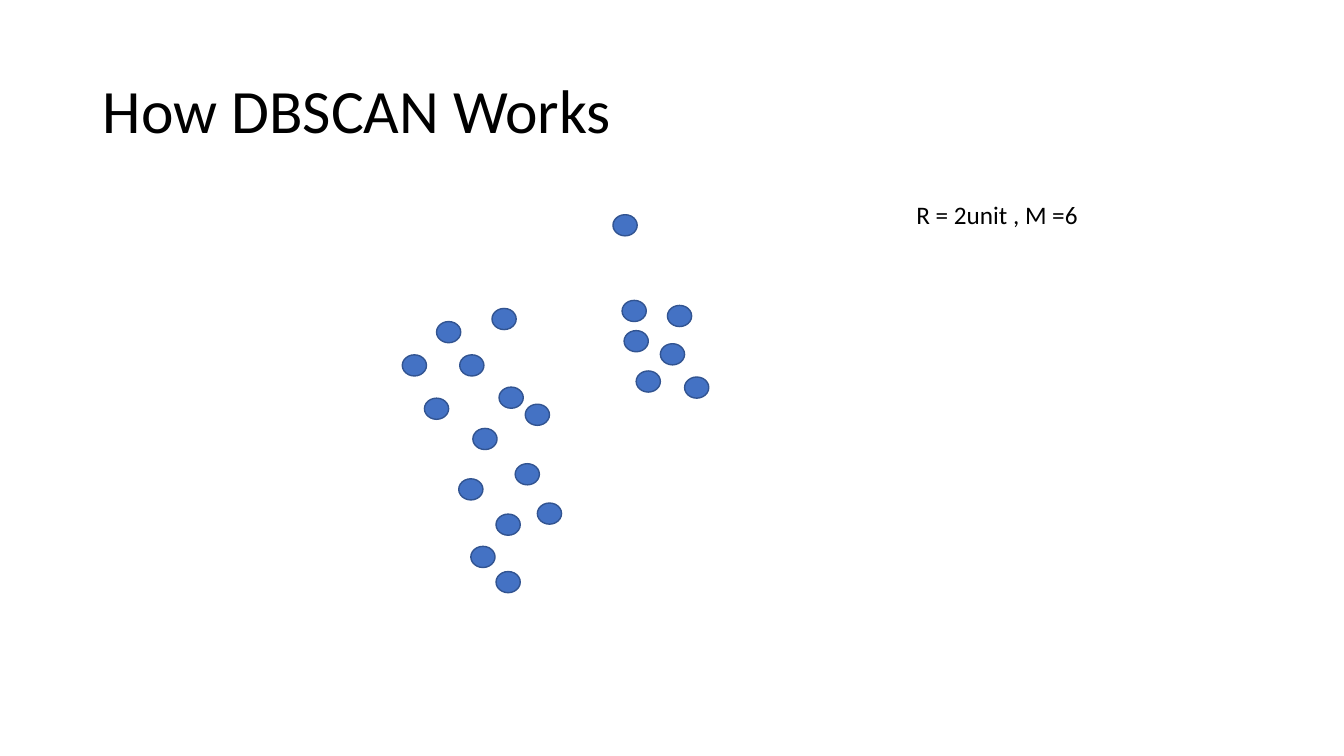
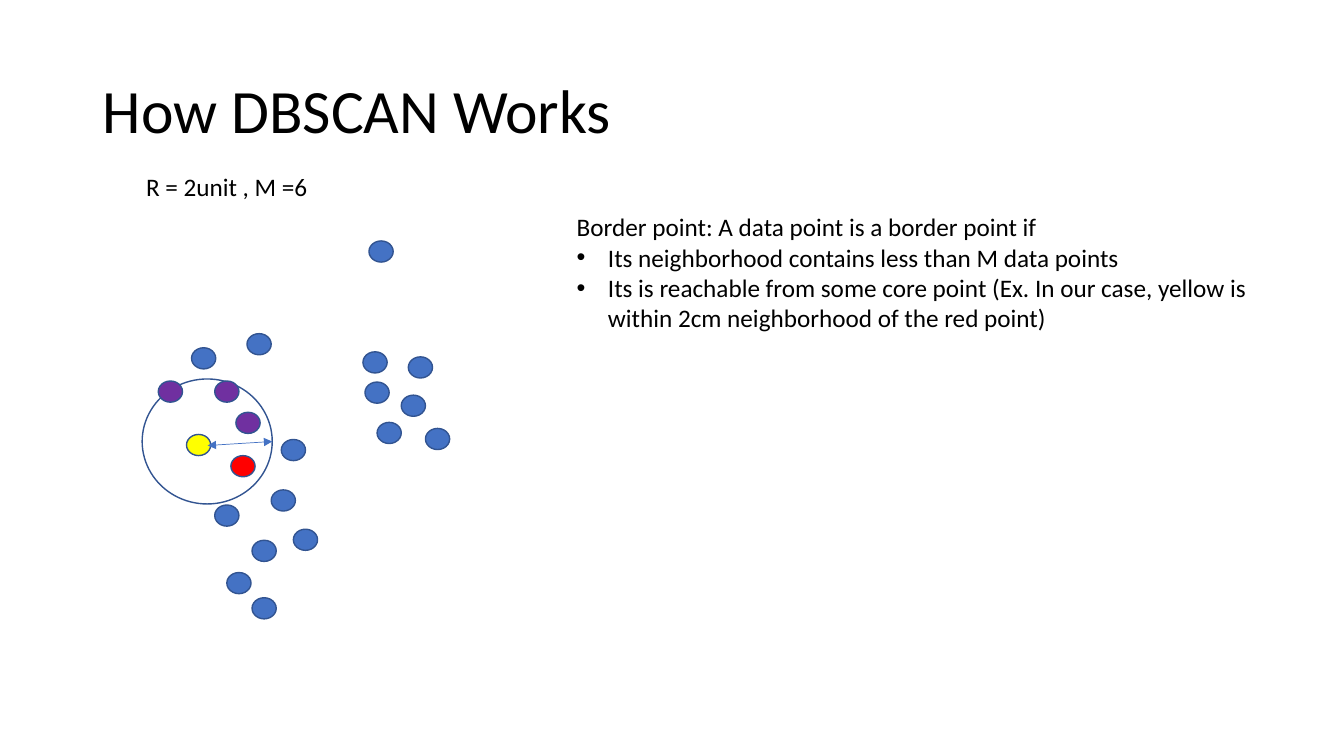
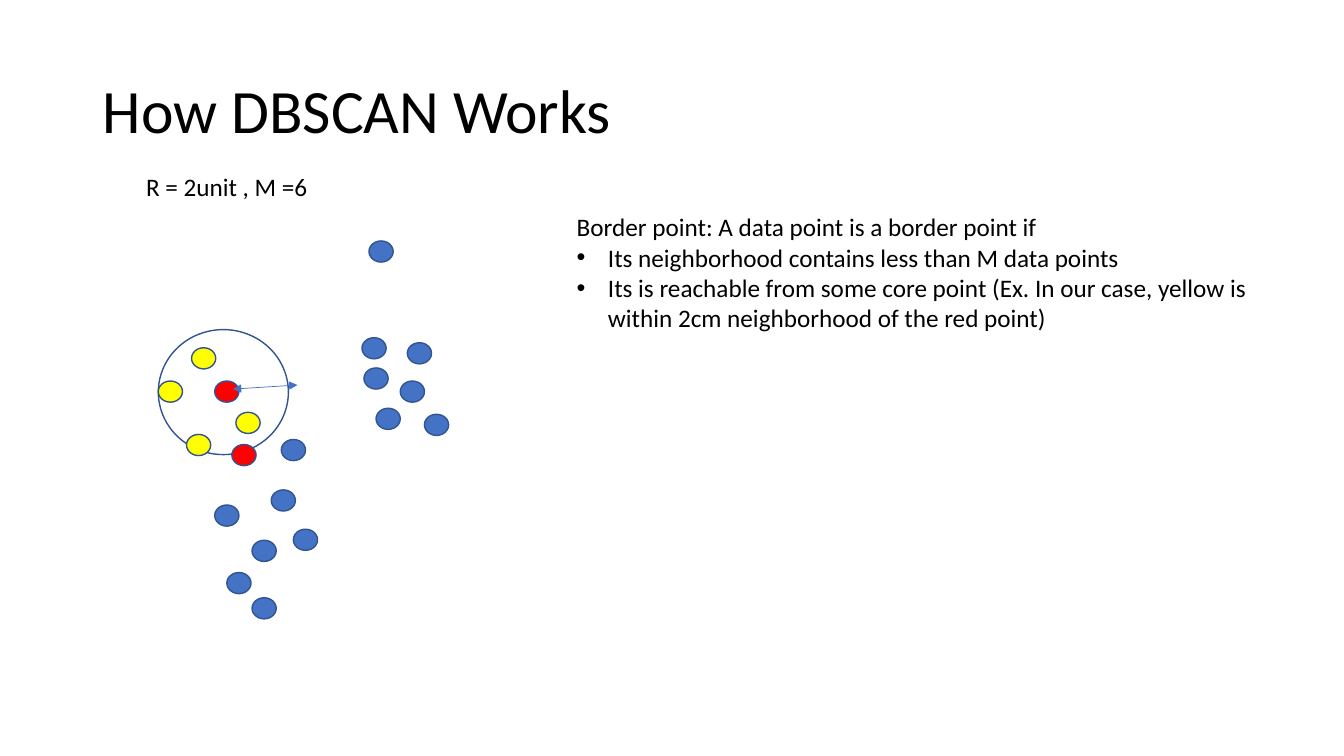
from lxml.etree import SubElement
from pptx import Presentation
from pptx.dml.color import RGBColor
from pptx.enum.shapes import MSO_CONNECTOR as Connector, MSO_SHAPE as Shape
from pptx.enum.text import MSO_ANCHOR as Anchor, MSO_AUTO_SIZE as AutoSize, PP_ALIGN as Align
from pptx.oxml.ns import qn
from pptx.util import Inches, Pt

COLOURS = {
    "text": "000000", "paper": "FFFFFF", "outline": "325491", "point": "4472C4",
    "core": "FF0000", "border": "FFFF00", "neighbour": "7030A0",
}
FONT = "Calibri"
TITLE = "How DBSCAN Works"
SETTINGS = "R = 2unit , M =6"
BORDER_RULE = [
    "Border point: A data point is a border point if ",
    "Its neighborhood contains less than M data points",
    "Its is reachable from some core point (Ex. In our case, yellow is "
    "within 2cm neighborhood of the red point)",
]

# Grid cells are a hundredth of an inch; places are (column, row).
CELL = Inches(0.01)
TITLE_AREA = (92, 40, 1150, 145)
RULE_AREA = (562, 205, 746, 131)
SETTINGS_SIZE = (182, 40)
DOT_SIZE = (24, 21)
RADIUS_SIZE = (129, 124)
RADIUS_ARROW = (64, -4)

# The lower chain and the outlier keep their arrangement on every slide.
FIXED_DOTS = [(269, 486), (213, 501), (250, 593), (225, 568),
              (250, 536), (291, 525), (366, 239)]
# The right-hand cluster, relative to its first dot.
CLUSTER = [(0, 0), (2, 30), (14, 70), (38, 43), (62, 76), (45, 5)]

SLIDES = [
    {
        "settings": (899, 193), "fixed": (242, -26), "cluster": (617, 298),
        "upper": {"point": [(469, 425), (421, 395), (495, 384), (456, 352), (399, 352),
                            (433, 319), (488, 306), (521, 401)]},
    },
    {
        "settings": (135, 165), "fixed": (0, 0), "cluster": (360, 349),
        "upper": {"core": [(229, 452)], "border": [(185, 431)],
                  "neighbour": [(234, 409), (213, 378), (157, 378)],
                  "point": [(190, 345), (245, 331), (279, 436)]},
        "radius": (141, 376), "arrow": (206, 442), "rule": BORDER_RULE,
    },
    {
        "settings": (135, 165), "fixed": (0, 0), "cluster": (359, 335),
        "upper": {"core": [(230, 441), (213, 378)],
                  "border": [(185, 431), (234, 409), (157, 378), (190, 345)],
                  "point": [(279, 436)]},
        "radius": (157, 327), "arrow": (231, 386), "rule": BORDER_RULE,
    },
]


def colour(name):
    """Return the named colour."""
    return RGBColor.from_string(COLOURS[name])


def cells(*counts):
    """Turn grid counts into lengths."""
    return [count * CELL for count in counts]


def shift(places, offset):
    """Move every place by the same columns and rows."""
    return [(column + offset[0], row + offset[1]) for column, row in places]


def place(item, area):
    """Put an item on a grid area."""
    for name, length in zip(("left", "top", "width", "height"), cells(*area)):
        setattr(item, name, length)


def write(frame, lines, size, **paragraph_format):
    """Fill a text frame with one paragraph per line."""
    frame.text = "\n".join(lines)
    for para in frame.paragraphs:
        for name, value in paragraph_format.items():
            setattr(para, name, value)
        for name, value in {"name": FONT, "size": Pt(size)}.items():
            setattr(para.font, name, value)
        para.font.color.rgb = colour("text")


def set_bullet(para, bulleted):
    """Give a paragraph a hanging bullet, or none."""
    properties = para._p.get_or_add_pPr()
    indent = Inches(0.31) if bulleted else 0
    properties.set("marL", str(indent))
    properties.set("indent", str(-indent))
    if bulleted:
        SubElement(properties, qn("a:buFont"), typeface="Arial")
        SubElement(properties, qn("a:buChar"), char="\u2022")
    else:
        SubElement(properties, qn("a:buNone"))


def add_ellipse(page, position, size, fill):
    """Draw an outlined ellipse."""
    ellipse = page.shapes.add_shape(Shape.OVAL, *cells(*position, *size))
    ellipse.shadow.inherit = False
    ellipse.fill.solid()
    ellipse.fill.fore_color.rgb = colour(fill)
    ellipse.line.color.rgb = colour("outline")
    ellipse.line.width = Pt(1)


def add_radius_arrow(page, start):
    """Draw the double-headed arrow that marks the radius."""
    end = shift([start], RADIUS_ARROW)[0]
    arrow = page.shapes.add_connector(Connector.STRAIGHT, *cells(*start, *end))
    arrow.line.color.rgb = colour("point")
    arrow.line.width = Pt(0.5)
    outline = arrow.line._get_or_add_ln()
    for tip in ("a:headEnd", "a:tailEnd"):
        SubElement(outline, qn(tip), type="triangle")
    SubElement(arrow._element.spPr, qn("a:effectLst"))


def add_settings(page, position):
    """Write the radius and the minimum number of points."""
    box = page.shapes.add_textbox(*cells(*position, *SETTINGS_SIZE))
    box.text_frame.word_wrap = False
    box.text_frame.auto_size = AutoSize.SHAPE_TO_FIT_TEXT
    write(box.text_frame, [SETTINGS], 18)


def fill_rule(body, lines):
    """Fill the body placeholder with a lead line and its bullets."""
    place(body, RULE_AREA)
    frame = body.text_frame
    frame.word_wrap = True
    frame.auto_size = AutoSize.SHAPE_TO_FIT_TEXT
    write(frame, lines, 18, space_before=Pt(0))
    for number, para in enumerate(frame.paragraphs):
        set_bullet(para, number > 0)


def add_page(deck, content):
    """Build one slide from its content."""
    layout = "Title and Content" if "rule" in content else "Title Only"
    page = deck.slides.add_slide(deck.slide_layouts.get_by_name(layout))
    title = page.shapes.title.text_frame
    title.vertical_anchor = Anchor.MIDDLE
    title.auto_size = AutoSize.NONE
    write(title, [TITLE], 44, alignment=Align.LEFT, line_spacing=0.9)
    if "rule" in content:
        fill_rule(page.placeholders[1], content["rule"])
        add_ellipse(page, content["radius"], RADIUS_SIZE, "paper")
    dots = {kind: list(places) for kind, places in content["upper"].items()}
    dots["point"] += shift(FIXED_DOTS, content["fixed"])
    dots["point"] += shift(CLUSTER, content["cluster"])
    for kind, places in dots.items():
        for position in places:
            add_ellipse(page, position, DOT_SIZE, kind)
    add_settings(page, content["settings"])
    if "arrow" in content:
        add_radius_arrow(page, content["arrow"])


deck = Presentation()
deck.slide_width, deck.slide_height = Inches(13.33), Inches(7.5)
place(deck.slide_master.placeholders[0], TITLE_AREA)
for content in SLIDES:
    add_page(deck, content)
deck.save("out.pptx")
